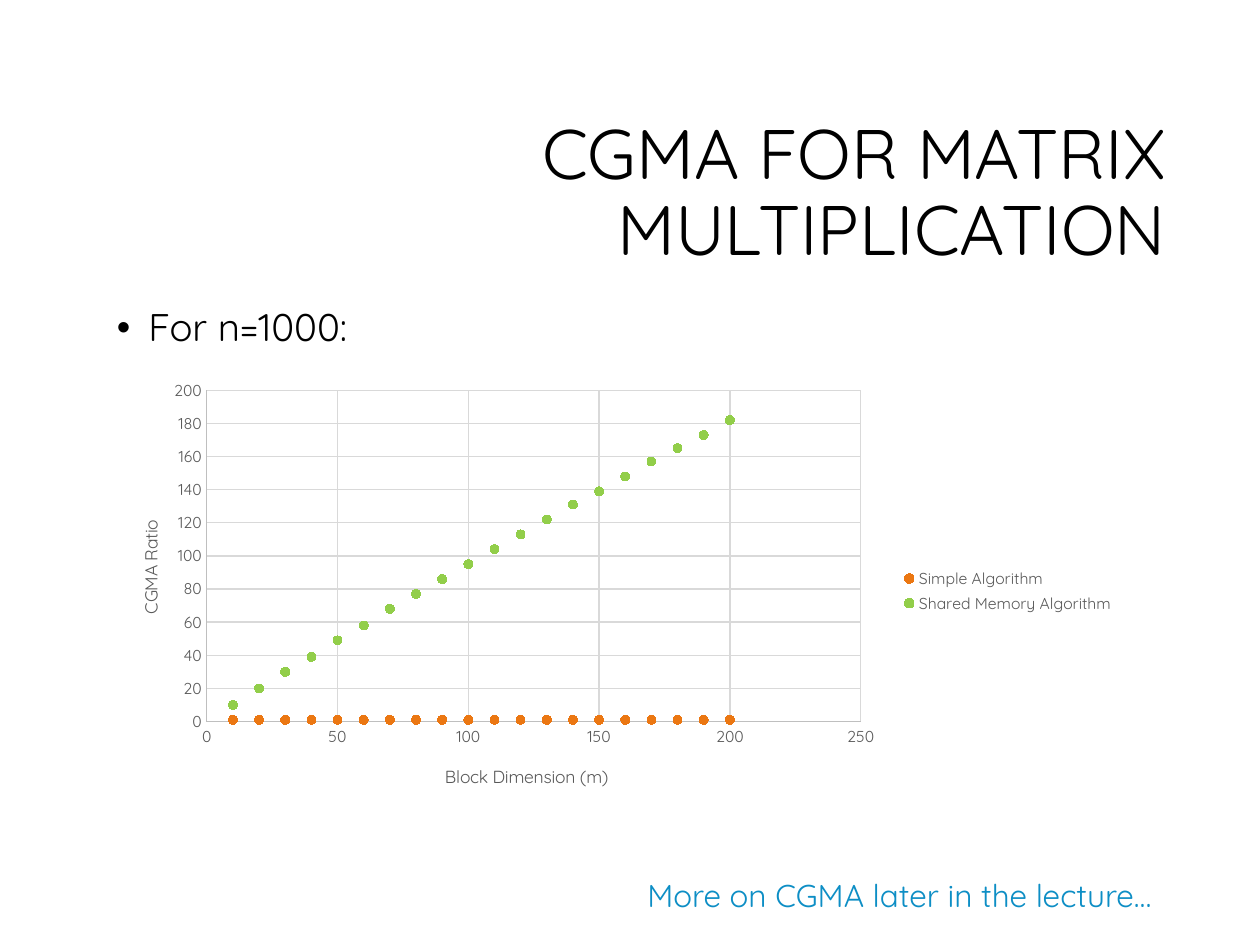
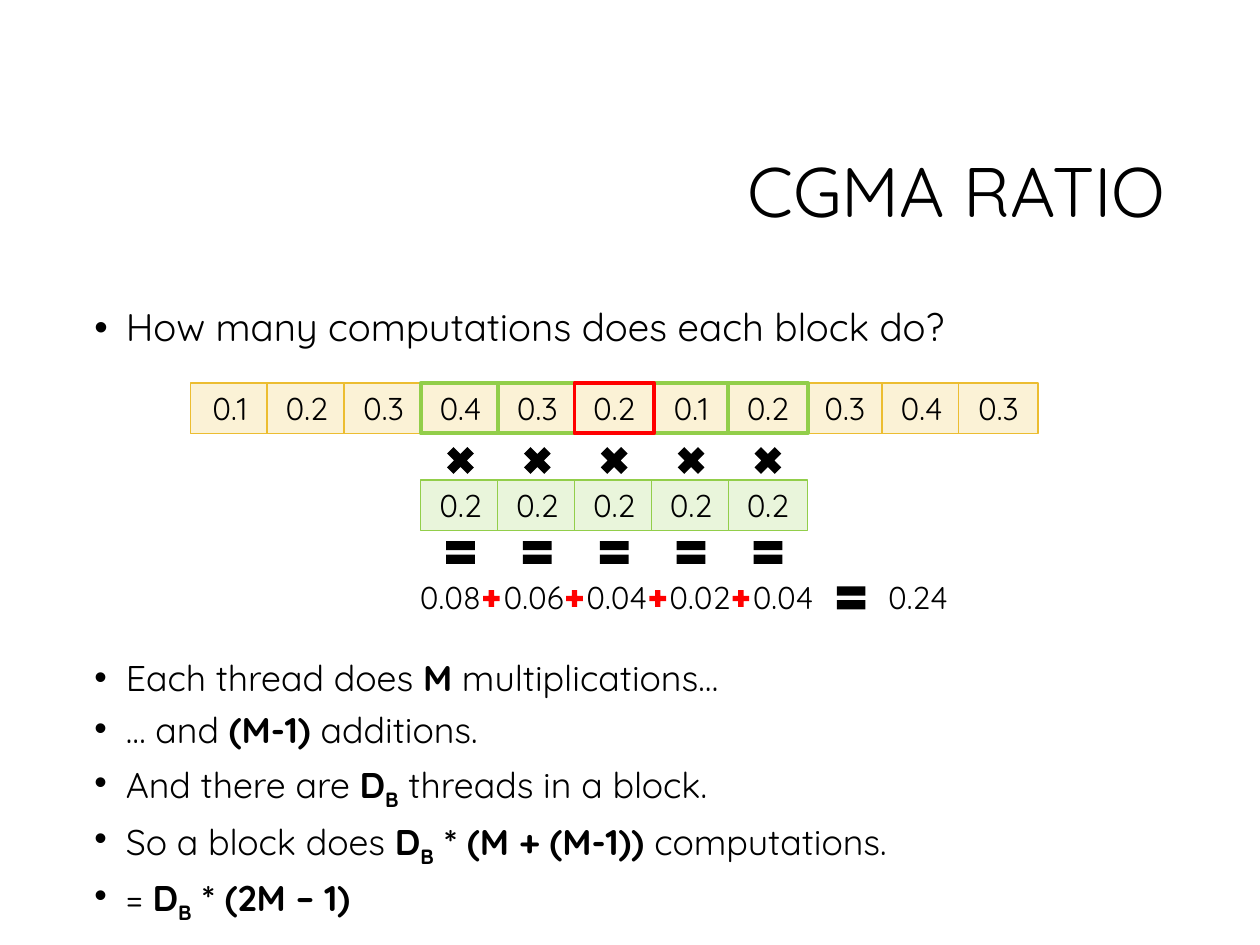
"""Builds two slides on the CGMA ratio: a scatter chart and a convolution diagram."""
from lxml import etree
from pptx import Presentation
from pptx import util as u
from pptx.chart import data
from pptx.dml import color
from pptx.enum import chart as ch, shapes, text
from pptx.oxml import ns

COLORS = {
    "black": "000000", "blue": "0D8EC5", "red": "FF0000", "green": "92CE4A",
    "orange": "EB7712", "gold": "ECBD31", "cream": "FBF2D6", "mint": "E9F5DB",
    "gray": "595959", "axis": "BFBFBF", "grid": "D9D9D9",
}
FONT = "Quicksand"


class Deck:
    def __init__(self):
        self.prs = Presentation()
        self.prs.slide_width, self.prs.slide_height = u.Inches(10), u.Inches(7.5)
        self.slide = None

    def rgb(self, name):
        return color.RGBColor.from_string(COLORS[name])

    def style(self, font, size, name="black"):
        font.name, font.size = FONT, u.Pt(size)
        font.color.rgb = self.rgb(name)

    def line(self, line, name, width=0.75):
        line.color.rgb = self.rgb(name)
        line.width = u.Pt(width)

    def new_slide(self, title):
        self.slide = self.prs.slides.add_slide(self.prs.slide_layouts[6])
        heading = self.text(title, (2.38, 0.84, 6.97, 1.41), 40, align=text.PP_ALIGN.RIGHT)
        heading.vertical_anchor = text.MSO_ANCHOR.MIDDLE
        heading.paragraphs[0].line_spacing = 0.9

    def text(self, words, box, size=18, name="black", align=text.PP_ALIGN.LEFT):
        frame = self.slide.shapes.add_textbox(*map(u.Inches, box)).text_frame
        self.fill_text(frame, words, size, name, align)
        return frame

    def fill_text(self, frame, words, size, name, align):
        frame.word_wrap = True
        frame.text = words
        frame.paragraphs[0].alignment = align
        self.style(frame.paragraphs[0].runs[0].font, size, name)

    def bullets(self, items, box, size=22, spacing=0.9):
        frame = self.slide.shapes.add_textbox(*map(u.Inches, box)).text_frame
        frame.word_wrap = True
        for number, pieces in enumerate(items):
            item = frame.add_paragraph() if number else frame.paragraphs[0]
            item.line_spacing, item.space_before = spacing, u.Pt(10)
            props = item._p.get_or_add_pPr()
            props.set("marL", str(u.Inches(0.25)))
            props.set("indent", str(u.Inches(-0.25)))
            etree.SubElement(props, ns.qn("a:buFont")).set("typeface", "Arial")
            etree.SubElement(props, ns.qn("a:buChar")).set("char", "•")
            for words, look in pieces:
                run = item.add_run()
                run.text = words
                self.style(run.font, size)
                run.font.bold = look != "plain"
                if look == "sub":
                    run._r.get_or_add_rPr().set("baseline", "-25000")

    def shape(self, kind, box, fill):
        item = self.slide.shapes.add_shape(kind, *map(u.Inches, box))
        item.shadow.inherit = False
        item.fill.solid()
        item.fill.fore_color.rgb = self.rgb(fill)
        item.line.fill.background()
        return item

    def cell(self, value, left, top, fill, edge, width=0.75):
        cell = self.shape(shapes.MSO_SHAPE.RECTANGLE, (left, top, 0.63, 0.4), fill)
        self.line(cell.line, edge, width)
        self.fill_text(cell.text_frame, value, 18, "black", text.PP_ALIGN.CENTER)

    def symbols(self, kind, count, left, top, pitch, size=0.31, fill="black"):
        for i in range(count):
            self.shape(kind, (left + i * pitch, top, size, size), fill)

    def place(self, parent, index, **values):
        for old in parent.findall(ns.qn("c:layout")):
            parent.remove(old)
        layout = etree.Element(ns.qn("c:layout"))
        parent.insert(index, layout)
        manual = etree.SubElement(layout, ns.qn("c:manualLayout"))
        for tag, value in values.items():
            etree.SubElement(manual, ns.qn(f"c:{tag}")).set("val", str(value))

    def axis(self, axis, title, top, step, x, y):
        axis.minimum_scale, axis.maximum_scale, axis.major_unit = 0, top, step
        axis.major_tick_mark = axis.minor_tick_mark = ch.XL_TICK_MARK.NONE
        axis.has_major_gridlines = True
        self.line(axis.major_gridlines.format.line, "grid")
        self.line(axis.format.line, "axis")
        self.style(axis.tick_labels.font, 9, "gray")
        frame = axis.axis_title.text_frame
        frame.text = title
        font = frame.paragraphs[0].runs[0].font
        self.style(font, 10, "gray")
        font.bold = False
        self.place(axis.axis_title._element, 1, xMode="edge", yMode="edge", x=x, y=y)

    def scatter(self, box, series):
        points = data.XyChartData()
        for name, xs, ys, _ in series:
            line = points.add_series(name)
            for x, y in zip(xs, ys):
                line.add_data_point(x, y)
        chart = self.slide.shapes.add_chart(
            ch.XL_CHART_TYPE.XY_SCATTER, *map(u.Inches, box), points).chart
        self.style(chart.font, 10)
        chart.has_title = False
        chart.plots[0].vary_by_categories = False
        for plotted, (*_, name) in zip(chart.plots[0].series, series):
            plotted.smooth = False
            plotted.format.line.fill.background()
            plotted.marker.style, plotted.marker.size = ch.XL_MARKER_STYLE.CIRCLE, 5
            look = plotted.marker.format
            look.fill.solid()
            look.fill.fore_color.rgb = self.rgb(name)
            self.line(look.line, name)
        chart.has_legend = True
        chart.legend.position = ch.XL_LEGEND_POSITION.RIGHT
        chart.legend.include_in_layout = False
        self.style(chart.legend.font, 9, "gray")
        return chart


def chart_slide(deck):
    deck.new_slide("CGMA FOR MATRIX MULTIPLICATION")
    deck.bullets([[("For n=1000:", "plain")]], (0.83, 2.4, 8.52, 0.56))
    deck.text("More on CGMA later in the lecture…", (5.04, 6.9, 4.96, 0.4), name="blue")
    dimensions = range(10, 201, 10)
    shared = [10, 20, 30, 39, 49, 58, 68, 77, 86, 95,
              104, 113, 122, 131, 139, 148, 157, 165, 173, 182]
    chart = deck.scatter((0.83, 2.96, 8.11, 3.46), [
        ("Simple Algorithm", dimensions, [1] * len(dimensions), "orange"),
        ("Shared Memory Algorithm", dimensions, shared, "green"),
    ])
    deck.axis(chart.category_axis, "Block Dimension (m)", 250, 50, 0.33, 0.89)
    deck.axis(chart.value_axis, "CGMA Ratio", 200, 20, 0.03, 0.33)
    plot_area = chart._chartSpace.find(".//" + ns.qn("c:plotArea"))
    deck.place(plot_area, 0, layoutTarget="inner", xMode="edge", yMode="edge",
               x=0.1, y=0.04, w=0.64, h=0.76)


def ratio_slide(deck):
    deck.new_slide("CGMA RATIO")
    deck.bullets([[("How many computations does each block do?", "plain")]],
                 (0.65, 2.4, 8.7, 0.64))

    pitch, mask_start, mask_size, center = 0.61, 3, 5, 5
    signal = ["0.1", "0.2", "0.3", "0.4", "0.3", "0.2", "0.1", "0.2", "0.3", "0.4", "0.3"]
    covered = range(mask_start, mask_start + mask_size)
    for i in sorted(range(len(signal)), key=lambda n: (n in covered, n == center)):
        edge = "red" if i == center else "green" if i in covered else "gold"
        deck.cell(signal[i], 1.51 + i * pitch, 3.04, "cream", edge,
                  2.25 if i in covered else 0.75)
    for i in range(mask_size):
        deck.cell("0.2", 3.34 + i * pitch, 3.81, "mint", "green")

    sign = shapes.MSO_SHAPE
    deck.symbols(sign.MATH_MULTIPLY, mask_size, 3.5, 3.5, pitch)
    deck.symbols(sign.MATH_EQUAL, mask_size, 3.5, 4.23, pitch)
    products = ["0.08", "0.06", "0.04", "0.02", "0.04"]
    lefts = [3.18 + i * 0.66 for i in range(mask_size)] + [6.89]
    for value, left in zip(products + ["0.24"], lefts):
        deck.text(value, (left, 4.54, 0.79, 0.4), align=text.PP_ALIGN.CENTER)
    deck.symbols(sign.MATH_PLUS, mask_size - 1, 3.81, 4.66, 0.66, 0.18, "red")
    deck.symbols(sign.MATH_EQUAL, 1, 6.6, 4.59, 0)

    block = [("D", "bold"), ("B", "sub")]
    deck.bullets([
        [("Each thread does ", "plain"), ("M", "bold"), (" multiplications…", "plain")],
        [("… and ", "plain"), ("(M-1) ", "bold"), ("additions.", "plain")],
        [("And there are ", "plain"), *block, (" threads in a block.", "plain")],
        [("So a block does ", "plain"), *block, (" * (M + (M-1)) ", "bold"),
         ("computations.", "plain")],
        [("= ", "plain"), *block, (" * (2M – 1)", "bold")],
    ], (0.65, 5.22, 8.7, 2.07), 20.4, 0.8)


def main():
    deck = Deck()
    chart_slide(deck)
    ratio_slide(deck)
    deck.prs.save("out.pptx")


if __name__ == "__main__":
    main()
